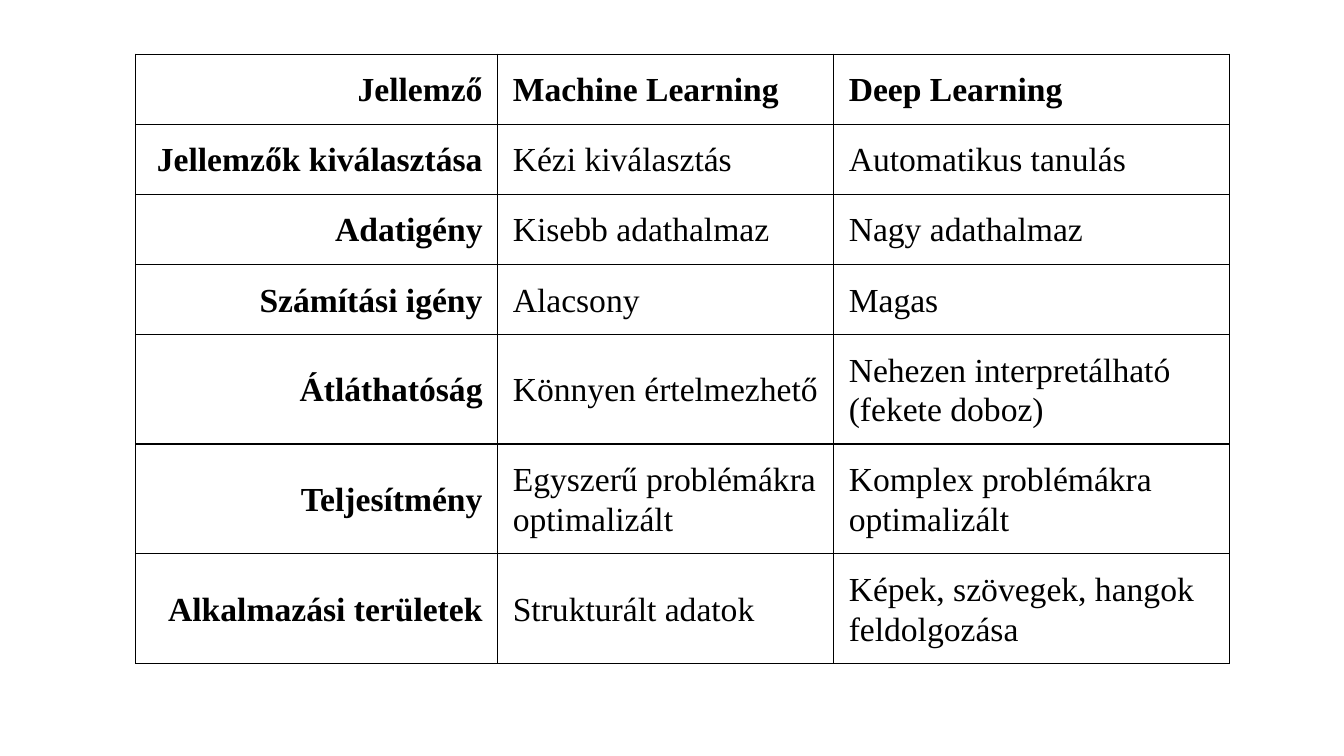
"""Build a slide with a table comparing machine learning and deep learning."""
from lxml.etree import SubElement
from pptx import Presentation
from pptx.dml.color import RGBColor
from pptx.enum.text import MSO_ANCHOR, PP_ALIGN
from pptx.oxml.ns import qn
from pptx.util import Pt

ROWS = [
    ("Jellemző", "Machine Learning", "Deep Learning"),
    ("Jellemzők kiválasztása", "Kézi kiválasztás", "Automatikus tanulás"),
    ("Adatigény", "Kisebb adathalmaz", "Nagy adathalmaz"),
    ("Számítási igény", "Alacsony", "Magas"),
    ("Átláthatóság", "Könnyen értelmezhető", "Nehezen interpretálható \v(fekete doboz)"),
    ("Teljesítmény", "Egyszerű problémákra optimalizált", "Komplex problémákra optimalizált"),
    ("Alkalmazási területek", "Strukturált adatok", "Képek, szövegek, hangok feldolgozása"),
]
COLUMN_WIDTHS = [258.5, 240, 283]
ROW_HEIGHTS = [38.2] * 4 + [67.7] * 3
LEFT, TOP = 97, 38.8
INSET = Pt(10.8)
BLACK = RGBColor(0, 0, 0)


def add_borders(cell):
    properties = cell._tc.get_or_add_tcPr()
    for side in ("lnL", "lnR", "lnT", "lnB"):
        line = SubElement(properties, qn(f"a:{side}"), w=str(Pt(1)))
        fill = SubElement(line, qn("a:solidFill"))
        SubElement(fill, qn("a:srgbClr"), val=str(BLACK))


def fill_cell(cell, text, is_label, is_bold):
    add_borders(cell)
    cell.fill.background()
    cell.vertical_anchor = MSO_ANCHOR.MIDDLE
    cell.margin_left = cell.margin_right = INSET
    cell.margin_top = cell.margin_bottom = INSET
    para = cell.text_frame.paragraphs[0]
    para.text = text
    para.alignment = PP_ALIGN.RIGHT if is_label else PP_ALIGN.LEFT
    para.line_spacing = 1.07
    para.space_after = Pt(8)
    para.font.name = "Times New Roman"
    para.font.size = Pt(24)
    para.font.bold = is_bold
    para.font.color.rgb = BLACK


def main():
    deck = Presentation()
    deck.slide_width, deck.slide_height = Pt(960), Pt(540)
    page = deck.slides.add_slide(deck.slide_layouts[6])
    table = page.shapes.add_table(
        len(ROWS), len(COLUMN_WIDTHS), Pt(LEFT), Pt(TOP),
        Pt(sum(COLUMN_WIDTHS)), Pt(sum(ROW_HEIGHTS))).table
    table.first_row = table.horz_banding = False
    for column, width in zip(table.columns, COLUMN_WIDTHS):
        column.width = Pt(width)
    for row_index, (row, height, texts) in enumerate(zip(table.rows, ROW_HEIGHTS, ROWS)):
        row.height = Pt(height)
        for column_index, text in enumerate(texts):
            is_label = column_index == 0
            fill_cell(row.cells[column_index], text, is_label, is_label or row_index == 0)
    deck.save("out.pptx")


if __name__ == "__main__":
    main()
